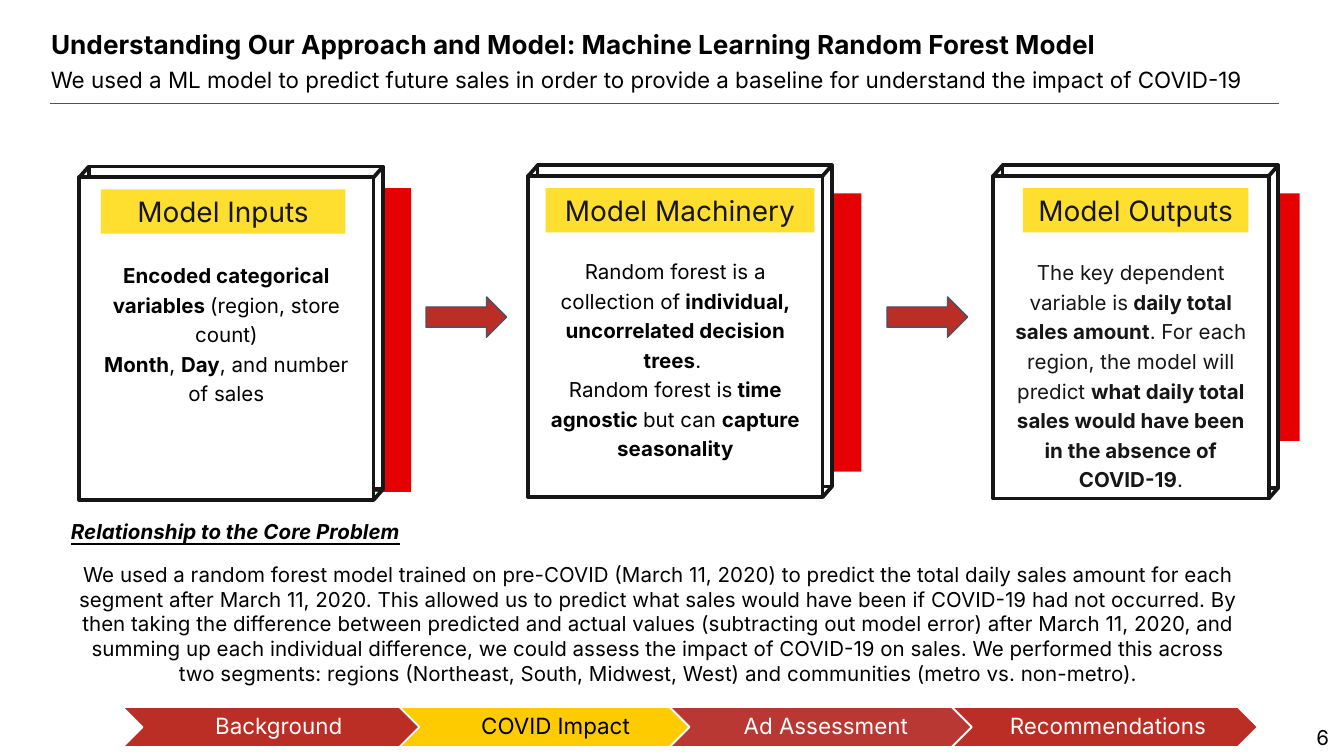
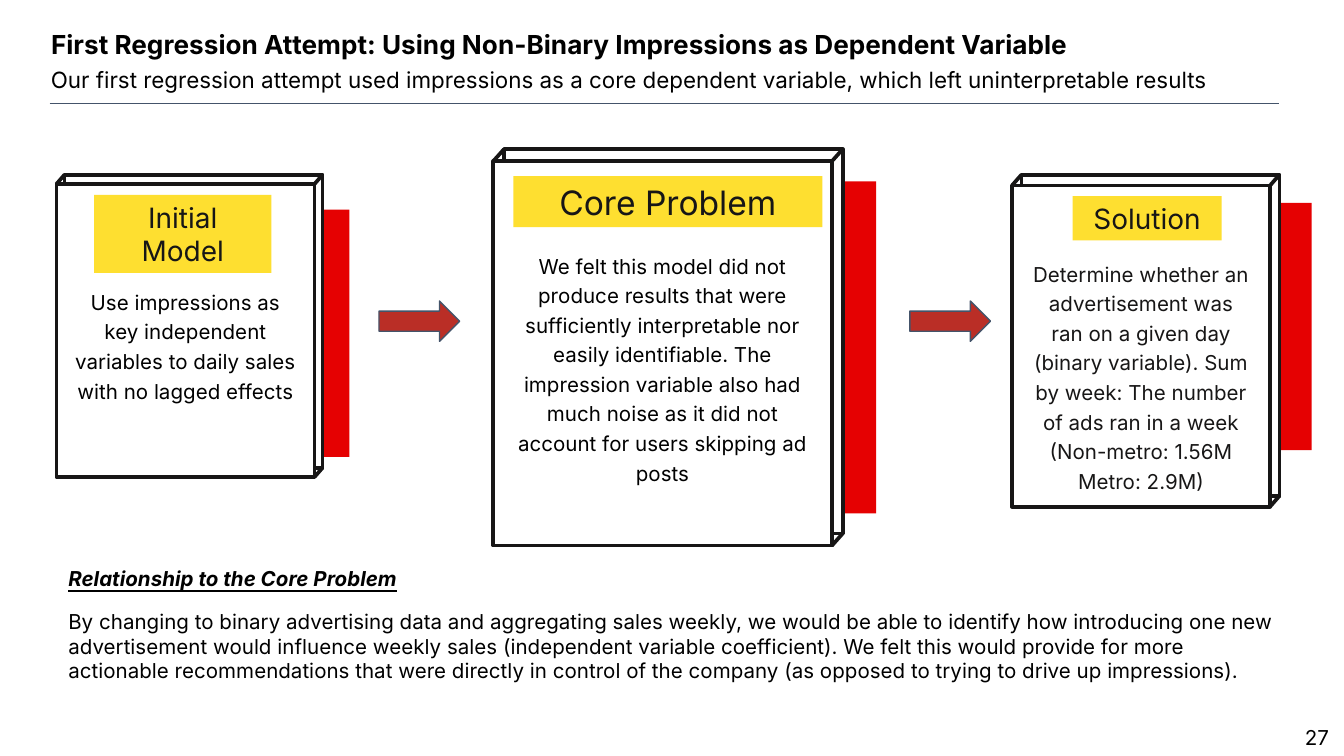
from pptx import Presentation
from pptx.dml.color import RGBColor
from pptx.enum.shapes import MSO_CONNECTOR, MSO_SHAPE
from pptx.enum.text import MSO_ANCHOR, MSO_AUTO_SIZE, PP_ALIGN
from pptx.oxml.ns import qn
from pptx.util import Inches, Pt
from lxml import etree

FONT = "Inter"
BLACK = RGBColor(0x00, 0x00, 0x00)
INK = RGBColor(0x17, 0x16, 0x16)
WHITE = RGBColor(0xFF, 0xFF, 0xFF)
RED = RGBColor(0xE5, 0x01, 0x02)
BRICK = RGBColor(0xBA, 0x2E, 0x26)
SOFT_BRICK = RGBColor(0xBA, 0x38, 0x33)
YELLOW = RGBColor(0xFE, 0xDF, 0x30)
GOLD = RGBColor(0xFE, 0xCB, 0x00)
SLATE = RGBColor(0x44, 0x54, 0x6A)

LEFT, CENTER, RIGHT = PP_ALIGN.LEFT, PP_ALIGN.CENTER, PP_ALIGN.RIGHT
WIDE_INSETS = (0.1, 0.1, 0.1, 0.1)
SLIM_INSETS = (0.07, 0.04, 0.07, 0.04)
STEP_INSETS = (0.07, 0.02, 0.02, 0.02)


def add_box(slide, frame, kind=None, fill=None, line=None, line_width=1):
    """Add a preset shape, or a text box when no kind is given."""
    position = [Inches(value) for value in frame]
    if kind is None:
        return slide.shapes.add_textbox(*position)
    shape = slide.shapes.add_shape(kind, *position)
    shape.shadow.inherit = False
    shape.fill.solid()
    shape.fill.fore_color.rgb = fill
    if line is None:
        shape.line.fill.background()
    else:
        shape.line.color.rgb = line
        shape.line.width = Pt(line_width)
    return shape


def write_text(shape, paragraphs, size, color=BLACK, align=LEFT, insets=SLIM_INSETS,
               anchor=MSO_ANCHOR.TOP, spacing=1.0):
    """Write paragraphs; text between ** marks is bold."""
    frame = shape.text_frame
    frame.word_wrap = True
    frame.auto_size = MSO_AUTO_SIZE.NONE
    frame.vertical_anchor = anchor
    frame.margin_left, frame.margin_top, frame.margin_right, frame.margin_bottom = map(Inches, insets)
    for index, text in enumerate(paragraphs):
        paragraph = frame.paragraphs[0] if index == 0 else frame.add_paragraph()
        paragraph.alignment = align
        paragraph.line_spacing = spacing
        paragraph.space_before = Pt(0)
        for part, words in enumerate(text.split("**")):
            if words:
                run = paragraph.add_run()
                run.text = words
                run.font.name = FONT
                run.font.size = Pt(size)
                run.font.bold = part % 2 == 1
                run.font.color.rgb = color
    return frame


# Card: left, top, front width and height, depth, label, label frame and size,
# body top and height, body color, body paragraphs
SLIDES = [
    {
        "title": "Understanding Our Approach and Model: Machine Learning Random Forest Model",
        "subtitle": "We used a ML model to predict future sales in order to provide a baseline "
                    "for understand the impact of COVID-19",
        "number": "6",
        "bars": [(9.04, 1.44, 0.63, 1.84), (2.21, 1.4, 0.85, 2.26), (5.86, 1.44, 0.55, 2.07)],
        "cards": [
            (0.59, 1.24, 2.19, 2.4, (0.07, 0.08), "Model Inputs", (0.75, 1.41, 1.82, 0.33), 15,
             1.88, 1.54, BLACK,
             ["**Encoded categorical variables **(region, store count)",
              "**Month**, **Day**, and number of sales"]),
            (3.93, 1.23, 2.19, 2.39, (0.07, 0.08), "Model Machinery", (4.06, 1.4, 2, 0.33), 15,
             1.85, 1.62, BLACK,
             ["Random forest is a collection of** individual, uncorrelated decision trees**. ",
              "Random forest is** time agnostic **but can **capture seasonality**"]),
            (7.39, 1.23, 2.05, 2.4, (0.07, 0.08), "Model Outputs", (7.61, 1.4, 1.68, 0.33), 15,
             1.86, 1.77, INK,
             ["The key dependent variable is** daily total sales amount**. For each region, "
              "the model will predict **what daily total sales would have been in the absence "
              "of COVID-19**."]),
        ],
        "arrows": [(3.17, 2.21), (6.6, 2.21)],
        "relation_frame": (0.43, 3.76, 8.94, 1.45),
        "relation_align": CENTER,
        "relation": "We used a random forest model trained on pre-COVID (March 11, 2020) to predict "
                    "the total daily sales amount for each segment after March 11, 2020. This allowed "
                    "us to predict what sales would have been if COVID-19 had not occurred. By then "
                    "taking the difference between predicted and actual values (subtracting out model "
                    "error) after March 11, 2020, and summing up each individual difference, we could "
                    "assess the impact of COVID-19 on sales. We performed this across two segments: "
                    "regions (Northeast, South, Midwest, West) and communities (metro vs. non-metro).",
        "steps": [(0.91, "Background", BRICK, WHITE), (2.97, "COVID Impact", GOLD, BLACK),
                  (4.98, "Ad Assessment", SOFT_BRICK, WHITE), (7.08, "Recommendations", BRICK, WHITE)],
    },
    {
        "title": "First Regression Attempt: Using Non-Binary Impressions as Dependent Variable",
        "subtitle": "Our first regression attempt used impressions as a core dependent variable, "
                    "which left uninterpretable results",
        "number": "27",
        "bars": [(9.13, 1.51, 0.63, 1.84), (1.97, 1.56, 0.63, 1.84), (5.89, 1.35, 0.63, 2.47)],
        "cards": [
            (0.42, 1.3, 1.92, 2.18, (0.06, 0.07), "Initial Model", (0.7, 1.45, 1.32, 0.58), 15,
             2.08, 1.4, BLACK,
             ["Use impressions as key independent variables to daily sales with no lagged effects"]),
            (3.67, 1.11, 2.52, 2.86, (0.08, 0.09), "Core Problem", (3.82, 1.31, 2.3, 0.38), 18,
             1.81, 2.26, BLACK,
             ["We felt this model did not produce results that were sufficiently interpretable nor "
              "easily identifiable. The impression variable also had much noise as it did not "
              "account for users skipping ad posts"]),
            (7.53, 1.3, 1.92, 2.39, (0.07, 0.08), "Solution", (7.98, 1.46, 1.11, 0.33), 15,
             1.87, 1.76, INK,
             ["Determine whether an advertisement was ran on a given day (binary variable). "
              "Sum by week: The number of ads ran in a week",
              "(Non-metro: 1.56M", "Metro: 2.9M)"]),
        ],
        "arrows": [(2.82, 2.24), (6.77, 2.24)],
        "relation_frame": (0.41, 4.11, 9.25, 1.08),
        "relation_align": LEFT,
        "relation": "By changing to binary advertising data and aggregating sales weekly, we would be "
                    "able to identify how introducing one new advertisement would influence weekly "
                    "sales (independent variable coefficient). We felt this would provide for more "
                    "actionable recommendations that were directly in control of the company (as "
                    "opposed to trying to drive up impressions).",
        "steps": [],
    },
]

presentation = Presentation()
presentation.slide_width = Inches(10)
presentation.slide_height = Inches(10) * 9 // 16

for content in SLIDES:
    slide = presentation.slides.add_slide(presentation.slide_layouts[5])

    # Title and subtitle
    title = slide.shapes.title
    title.left, title.top, title.width, title.height = map(Inches, (0.28, 0.11, 9.17, 0.44))
    write_text(title, [f"**{content['title']}**"], 14, insets=WIDE_INSETS)
    subtitle = add_box(slide, (0.28, 0.39, 9.25, 0.4))
    write_text(subtitle, [content["subtitle"]], 12, insets=WIDE_INSETS)
    lines = [(0.37, 0.77, 9.52, 0.77, SLATE, 0.75)]

    # Red bars behind the cards
    for frame in content["bars"]:
        add_box(slide, frame, MSO_SHAPE.RECTANGLE, RED)

    # Cards with depth, label and body
    for (left, top, width, height, depth, label, label_frame, label_size,
         body_top, body_height, body_color, body) in content["cards"]:
        across, down = depth
        corner = add_box(slide, (left, top, across, down), MSO_SHAPE.ISOSCELES_TRIANGLE, WHITE)
        corner.adjustments[0] = 1
        for x, y in [(left + across, top), (left, top + down)]:
            add_box(slide, (x, y, width, height), MSO_SHAPE.RECTANGLE, WHITE, INK, 2)
        for x, y in [(left, top), (left + width, top), (left + width, top + height)]:
            lines.append((x + across, y, x, y + down, INK, 2))
        label_box = add_box(slide, label_frame, MSO_SHAPE.RECTANGLE, YELLOW)
        write_text(label_box, [label], label_size, INK, CENTER)
        body_box = add_box(slide, (left + across, body_top, width - 2 * across, body_height))
        write_text(body_box, body, 11, body_color, CENTER, spacing=1.2)

    # Header rule and card edges
    for x1, y1, x2, y2, color, line_width in lines:
        connector = slide.shapes.add_connector(
            MSO_CONNECTOR.STRAIGHT, Inches(x1), Inches(y1), Inches(x2), Inches(y2))
        connector.line.color.rgb = color
        connector.line.width = Pt(line_width)
        etree.SubElement(connector._element.spPr, qn("a:effectLst"))

    # Arrows between the cards
    for left, top in content["arrows"]:
        add_box(slide, (left, top, 0.6, 0.3), MSO_SHAPE.RIGHT_ARROW, BRICK, SLATE, 0.75)

    # Relationship to the core problem
    relation_box = add_box(slide, content["relation_frame"])
    relation = write_text(relation_box, ["**Relationship to the Core Problem**", content["relation"]],
                          11, insets=WIDE_INSETS)
    heading, explanation = relation.paragraphs
    heading.runs[0].font.italic = True
    heading.runs[0].font.underline = True
    explanation.alignment = content["relation_align"]
    explanation.space_before = Pt(10)

    # Progress steps
    for left, name, fill, color in content["steps"]:
        add_box(slide, (left, 5.26, 2.28, 0.3), MSO_SHAPE.CHEVRON, fill, WHITE)
        step_text = add_box(slide, (left + 0.16, 5.26, 1.96, 0.3))
        write_text(step_text, [name], 12, color, CENTER, STEP_INSETS, MSO_ANCHOR.MIDDLE, 0.9)

    # Slide number
    number = add_box(slide, (9.36, 5.19, 0.6, 0.43))
    write_text(number, [content["number"]], 11, align=RIGHT, anchor=MSO_ANCHOR.BOTTOM)

presentation.save("out.pptx")
